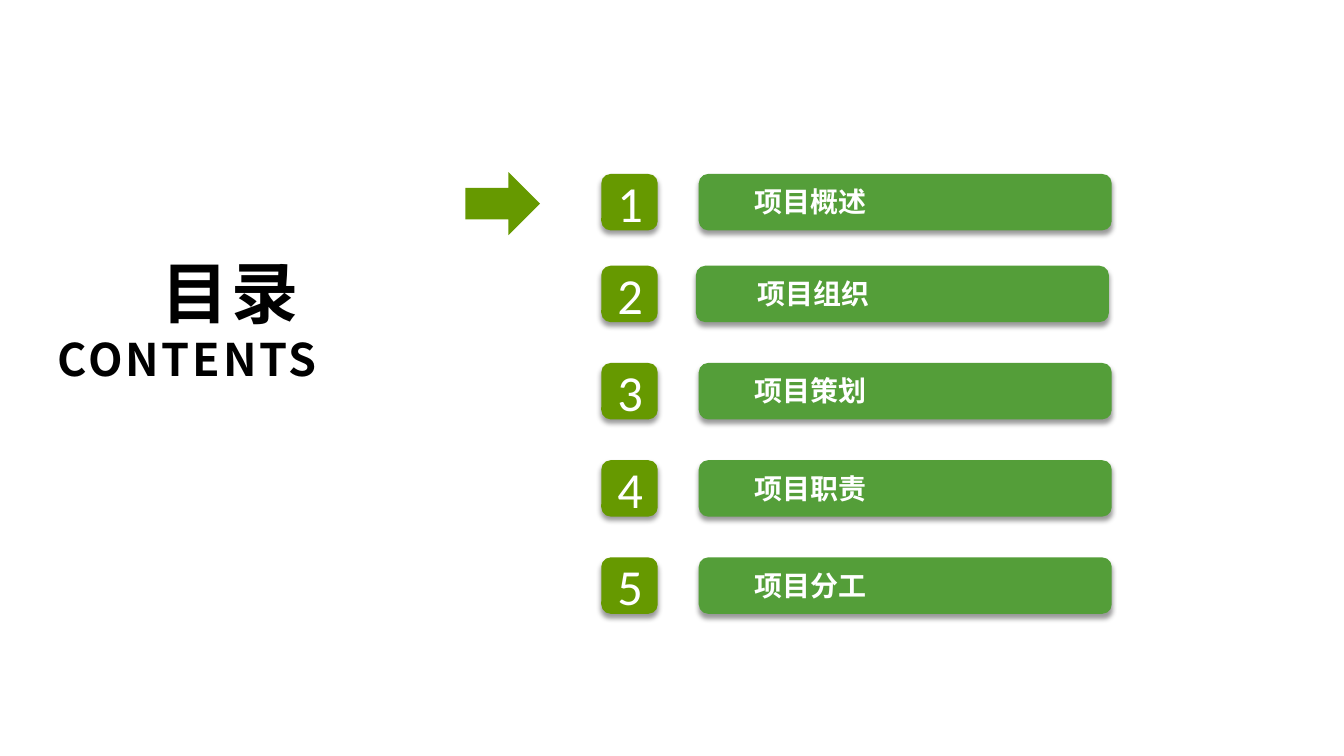
"""Build the contents slide with five numbered project sections."""
from dataclasses import dataclass
from typing import Any

from lxml.etree import SubElement
from pptx import Presentation
from pptx.dml.color import RGBColor
from pptx.enum.shapes import MSO_SHAPE
from pptx.enum.text import MSO_ANCHOR, MSO_AUTO_SIZE, PP_ALIGN
from pptx.oxml.ns import qn
from pptx.util import Inches, Pt

WIDTH, HEIGHT = Inches(14.06), Inches(7.91)


@dataclass(frozen=True)
class Theme:
    number_fill: str = "669900"
    bar_fill: str = "549E39"
    light: str = "FFFFFF"
    dark: str = "000000"
    number_font: str = "Calibri"
    heading_font: str = "Noto Sans CJK SC"
    number_size: float = 38
    label_size: float = 21.1
    title_size: float = 50.6
    subtitle_size: float = 33.8


@dataclass(frozen=True)
class Area:
    left: float
    top: float
    width: float
    height: float

    def frame(self) -> tuple[int, ...]:
        shares = (self.left, self.top, self.width, self.height)
        return tuple(round(share * side / 100)
                     for share, side in zip(shares, (WIDTH, HEIGHT) * 2))


@dataclass(frozen=True)
class Section:
    label: str
    top: float
    bar_left: float = 51.99
    label_left: float = 55.12


THEME = Theme()
FIRST_TOP, SECOND_TOP, ROW_PITCH = 23.01, 35.15, 12.86
ROW_HEIGHT = 7.46
SECTIONS = (
    Section("项目概述", FIRST_TOP),
    Section("项目组织", SECOND_TOP, 51.78, 55.33),
    Section("项目策划", SECOND_TOP + ROW_PITCH),
    Section("项目职责", SECOND_TOP + 2 * ROW_PITCH),
    Section("项目分工", SECOND_TOP + 3 * ROW_PITCH),
)


def apply(target: Any, values: dict[str, Any]) -> None:
    for name, value in values.items():
        setattr(target, name, value)


def format_box(box: Any, **values: Any) -> None:
    insets = {"margin_left": WIDTH // 100, "margin_right": WIDTH // 100,
              "margin_top": HEIGHT * 9 // 1000, "margin_bottom": HEIGHT * 9 // 1000}
    apply(box.text_frame, {"word_wrap": True, **insets, **values})


def write(para: Any, text: str, font: str, size: float, color: str,
          align: PP_ALIGN, bold: bool = False, spacing: float = 0) -> None:
    para.alignment = align
    span = para.add_run()
    span.text = text
    span.font.color.rgb = RGBColor.from_string(color)
    apply(span.font, {"name": font, "size": Pt(size), "bold": bold})
    properties = span.font._element
    SubElement(properties, qn("a:ea"), typeface=font)
    if spacing:
        properties.set("spc", str(round(spacing * 100)))


def add_block(shapes: Any, kind: MSO_SHAPE, area: Area, fill: str,
              shadow: bool = False) -> Any:
    block = shapes.add_shape(kind, *area.frame())
    block.fill.solid()
    block.fill.fore_color.rgb = RGBColor.from_string(fill)
    block.line.fill.background()
    block.shadow.inherit = False
    if shadow:
        effects = block._element.spPr.find(qn("a:effectLst"))
        outer = SubElement(effects, qn("a:outerShdw"), blurRad=str(Pt(4)),
                           dist=str(Pt(3)), dir="5400000", rotWithShape="0")
        color = SubElement(outer, qn("a:srgbClr"), val=THEME.dark)
        SubElement(color, qn("a:alpha"), val="40000")
    return block


def add_section(page: Any, number: int, section: Section) -> None:
    badge = add_block(page.shapes, MSO_SHAPE.ROUNDED_RECTANGLE,
                      Area(44.74, section.top, 4.2, ROW_HEIGHT),
                      THEME.number_fill, shadow=True)
    format_box(badge, vertical_anchor=MSO_ANCHOR.MIDDLE)
    write(badge.text_frame.paragraphs[0], str(number), THEME.number_font,
          THEME.number_size, THEME.light, PP_ALIGN.CENTER)

    group = page.shapes.add_group_shape()
    add_block(group.shapes, MSO_SHAPE.ROUNDED_RECTANGLE,
              Area(section.bar_left, section.top, 30.73, ROW_HEIGHT),
              THEME.bar_fill, shadow=True)
    label = add_block(group.shapes, MSO_SHAPE.RECTANGLE,
                      Area(section.label_left, section.top + 0.55, 26.24, 6.19),
                      THEME.bar_fill)
    format_box(label, vertical_anchor=MSO_ANCHOR.TOP,
               auto_size=MSO_AUTO_SIZE.SHAPE_TO_FIT_TEXT)
    write(label.text_frame.paragraphs[0], section.label, THEME.heading_font,
          THEME.label_size, THEME.light, PP_ALIGN.LEFT, bold=True)


def add_title(page: Any) -> None:
    title = page.shapes.title
    frame = Area(1.56, 32.36, 23.04, 19.72).frame()
    apply(title, dict(zip(("left", "top", "width", "height"), frame)))
    format_box(title, vertical_anchor=MSO_ANCHOR.TOP,
               auto_size=MSO_AUTO_SIZE.SHAPE_TO_FIT_TEXT)
    first = title.text_frame.paragraphs[0]
    second = title.text_frame.add_paragraph()
    for para, text, size in ((first, "目录 ", THEME.title_size),
                             (second, "CONTENTS", THEME.subtitle_size)):
        write(para, text, THEME.heading_font, size, THEME.dark,
              PP_ALIGN.RIGHT, bold=True, spacing=2.1)


def main() -> None:
    deck = Presentation()
    apply(deck, {"slide_width": WIDTH, "slide_height": HEIGHT})
    page = deck.slides.add_slide(deck.slide_layouts.get_by_name("Title Only"))
    add_title(page)
    for number, section in enumerate(SECTIONS, start=1):
        add_section(page, number, section)
    arrow = add_block(page.shapes, MSO_SHAPE.DOWN_ARROW,
                      Area(35.06, 22, 4.69, 9.86), THEME.number_fill)
    arrow.rotation = 270
    deck.save("out.pptx")


if __name__ == "__main__":
    main()
